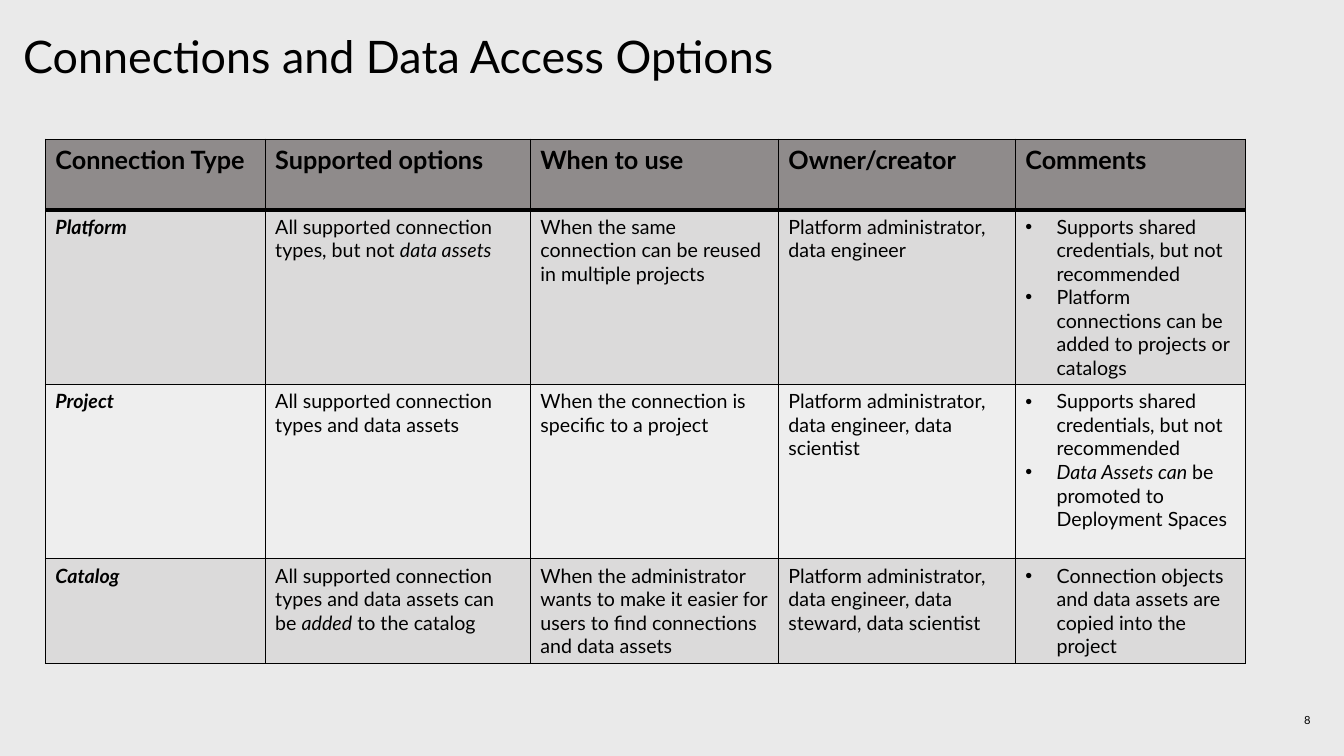
from lxml.etree import SubElement
from pptx import Presentation
from pptx.dml.color import RGBColor
from pptx.enum.text import MSO_ANCHOR as Anchor, MSO_AUTO_SIZE as AutoSize, PP_ALIGN as Align
from pptx.oxml import parse_xml
from pptx.oxml.ns import nsdecls, qn
from pptx.util import Inches, Pt

BLACK, HEADER_GREY, DARK_BAND, LIGHT_BAND = "000000", "8F8B8B", "DBDADA", "EEEEEE"


def color(hex_string):
    return RGBColor.from_string(hex_string)


def write(frame, text, size=14, bold=False, italic=False, bullet=False,
          align=Align.LEFT, spacing=None):
    """One paragraph per line; asterisks switch italics on and off."""
    for number, line in enumerate(text.split("\n")):
        paragraph = frame.add_paragraph() if number else frame.paragraphs[0]
        paragraph.alignment = align
        if spacing:
            paragraph.line_spacing = spacing
        if bullet:
            properties = paragraph._p.get_or_add_pPr()
            properties.set("marL", str(Inches(0.31)))
            properties.set("indent", str(-Inches(0.31)))
            SubElement(properties, qn("a:buFont")).set("typeface", "Arial")
            SubElement(properties, qn("a:buChar")).set("char", "•")
        for part, piece in enumerate(line.split("*")):
            if piece:
                run = paragraph.add_run()
                run.text = piece
                run.font.name, run.font.size = "Lato", Pt(size)
                run.font.bold = bold
                run.font.italic = italic or part % 2 == 1
                run.font.color.rgb = color(BLACK)


# Slide and background
deck = Presentation()
deck.slide_width, deck.slide_height = Inches(13.33), Inches(7.5)
slide = deck.slides.add_slide(deck.slide_layouts[5])
slide.background.fill.solid()
slide.background.fill.fore_color.rgb = color("EAEAEA")

# Title and page number
heading = slide.shapes.title
heading.left, heading.top = Inches(0.23), Inches(0.34)
heading.width, heading.height = Inches(9.33), Inches(0.93)
page_number = slide.shapes.add_textbox(Inches(10), Inches(7.04), Inches(3), Inches(0.2))
for box, anchor in ((heading, Anchor.TOP), (page_number, Anchor.MIDDLE)):
    frame = box.text_frame
    frame.margin_left = frame.margin_top = frame.margin_right = frame.margin_bottom = 0
    frame.word_wrap, frame.auto_size = True, AutoSize.NONE
    frame.vertical_anchor = anchor
write(heading.text_frame, "Connections and Data Access Options", size=32, spacing=0.9)
write(page_number.text_frame, "8", size=8, align=Align.RIGHT)

# Table content
connections = [
    ["Connection Type", "Supported options", "When to use", "Owner/creator", "Comments"],
    ["Platform",
     "All supported connection types, but not *data assets*",
     "When the same connection can be reused in multiple projects",
     "Platform administrator, data engineer",
     "Supports shared credentials, but not recommended\n"
     "Platform connections can be added to projects or catalogs"],
    ["Project",
     "All supported connection types and data assets",
     "When the connection is specific to a project",
     "Platform administrator, data engineer, data scientist",
     "Supports shared credentials, but not recommended\n"
     "*Data Assets can *be promoted to Deployment Spaces"],
    ["Catalog",
     "All supported connection types and data assets can be *added* to the catalog",
     "When the administrator wants to make it easier for users to find connections "
     "and data assets",
     "Platform administrator, data engineer, data steward, data scientist",
     "Connection objects and data assets are copied into the project"],
]
column_widths = [2.18, 2.63, 2.46, 2.35, 2.28]
row_heights = [0.7, 1.73, 1.73, 1.04]

# Table grid
options = slide.shapes.add_table(
    len(row_heights), len(column_widths), Inches(0.45), Inches(1.38),
    Inches(sum(column_widths)), Inches(sum(row_heights))).table
options.horz_banding = False
for column, width in zip(options.columns, column_widths):
    column.width = Inches(width)
for row, height in zip(options.rows, row_heights):
    row.height = Inches(height)

# Cells: text, band fill and borders, with a thick rule under the header
for r, texts in enumerate(connections):
    band = HEADER_GREY if r == 0 else DARK_BAND if r % 2 else LIGHT_BAND
    for c, text in enumerate(texts):
        cell = options.cell(r, c)
        write(cell.text_frame, text, size=14 if r else 18, bold=r == 0 or c == 0,
              italic=r > 0 and c == 0, bullet=r > 0 and c == 4)
        cell.fill.solid()
        cell.fill.fore_color.rgb = color(band)
        borders = {"lnL": 1, "lnR": 1, "lnT": 3 if r == 1 else 1, "lnB": 1 if r else 3}
        for position, (side, points) in enumerate(borders.items()):
            cell._tc.get_or_add_tcPr().insert(position, parse_xml(
                f'<a:{side} {nsdecls("a")} w="{Pt(points)}"><a:solidFill>'
                f'<a:srgbClr val="{BLACK}"/></a:solidFill></a:{side}>'))

deck.save("out.pptx")
